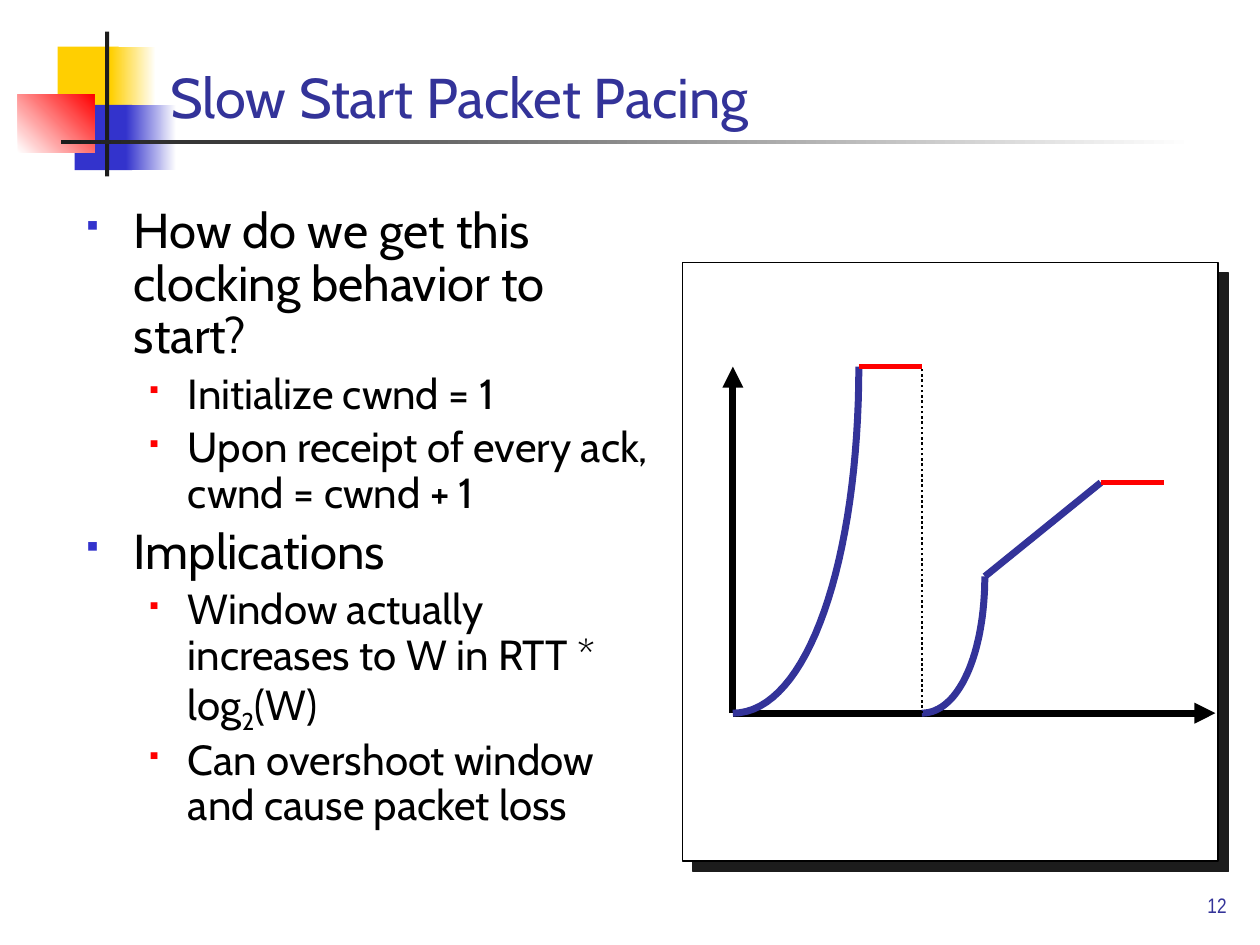
from dataclasses import dataclass

from lxml import etree
from pptx import Presentation
from pptx import util as u
from pptx.dml.color import RGBColor
from pptx.enum import dml, shapes, text
from pptx.oxml import ns

COLUMNS, ROWS = 120, 90
CELL = u.Inches(10) // COLUMNS


@dataclass(frozen=True)
class Theme:
    ink: str = "333399"
    blue: str = "3333CC"
    red: str = "FF0000"
    yellow: str = "FFCF01"
    black: str = "000000"
    white: str = "FFFFFF"
    dark: str = "1C1C1C"
    font: str = "Cabin"
    number_font: str = "Arial Narrow"
    title_size: int = 32
    number_size: int = 12
    level_sizes: tuple = (28, 24)


THEME = Theme()


def cells(*values):
    return [round(value * CELL) for value in values]


def add_xml(parent, tag, **attributes):
    return etree.SubElement(parent, ns.qn(tag), **attributes)


def style_runs(paragraph, size, color, font=THEME.font):
    for run in paragraph.runs:
        run.font.size = u.Pt(size)
        run.font.name = font
        run.font.color.rgb = RGBColor.from_string(color)


def add_block(slide, box, color, end_color=None, angle=0):
    """Rectangle without outline, plain or fading to end_color."""
    shape = slide.shapes.add_shape(shapes.MSO_SHAPE.RECTANGLE, *cells(*box))
    shape.shadow.inherit = False
    shape.line.fill.background()
    if end_color:
        shape.fill.gradient()
        shape.fill.gradient_angle = angle
        for stop, stop_color in zip(shape.fill.gradient_stops, (color, end_color)):
            stop.color.rgb = RGBColor.from_string(stop_color)
    else:
        shape.fill.solid()
        shape.fill.fore_color.rgb = RGBColor.from_string(color)
    return shape


def add_ornament(slide, box):
    """Coloured squares with a crossing bar and the rule below the title."""
    left, top, width, _ = box
    t = THEME
    blocks = [
        ((3.8, 1.45, 5.8, 6.2), t.yellow, None, 0),
        ((8.85, 1.45, 4.3, 6.2), t.yellow, t.white, 0),
        ((5.4, 7, 5.5, 6.2), t.blue, None, 0),
        ((10.3, 7, 4.8, 6.2), t.blue, t.white, 0),
        ((0, 6, 7.3, 5.5), t.white, t.red, 45),
        ((8.3, 0, 0.4, 13.8), t.dark, None, 0),
        ((4.1, 10.35, width - 4.1, 0.4), t.dark, t.white, 0),
    ]
    for (x, y, w, h), color, end_color, angle in blocks:
        add_block(slide, (left + x, top + y, w, h), color, end_color, angle)


def add_title(slide, box, wording):
    title = slide.shapes.title
    title.left, title.top, title.width, title.height = cells(*box)
    frame = title.text_frame
    frame.text = wording
    frame.auto_size = text.MSO_AUTO_SIZE.NONE
    frame.vertical_anchor = text.MSO_ANCHOR.BOTTOM
    frame.paragraphs[0].alignment = text.PP_ALIGN.LEFT
    style_runs(frame.paragraphs[0], THEME.title_size, THEME.ink)
    # Bring the title in front of the ornament
    title.element.getparent().append(title.element)


def add_text_box(slide, box):
    frame = slide.shapes.add_textbox(*cells(*box)).text_frame
    frame.word_wrap = True
    return frame


def add_number(slide, box, wording):
    frame = add_text_box(slide, box)
    frame.vertical_anchor = text.MSO_ANCHOR.BOTTOM
    frame.text = wording
    frame.paragraphs[0].alignment = text.PP_ALIGN.RIGHT
    style_runs(frame.paragraphs[0], THEME.number_size, THEME.ink, THEME.number_font)


def format_bullet(paragraph, level):
    margin, indent, color, share = (
        (0.38, -0.38, THEME.blue, 60), (0.81, -0.31, THEME.red, 55))[level]
    paragraph.level = level
    paragraph.line_spacing = 0.9
    properties = paragraph._p.get_or_add_pPr()
    properties.set("marL", str(u.Inches(margin)))
    properties.set("indent", str(u.Inches(indent)))
    add_xml(add_xml(properties, "a:spcBef"), "a:spcPct", val="20000")
    add_xml(add_xml(properties, "a:buClr"), "a:srgbClr", val=color)
    add_xml(properties, "a:buSzPct", val=str(share * 1000))
    add_xml(properties, "a:buFont", typeface="Wingdings")
    add_xml(properties, "a:buChar", char="§")


def add_bullets(slide, box, items):
    """Each item is a level and its pieces; every second piece is subscript."""
    frame = add_text_box(slide, box)
    for index, (level, *pieces) in enumerate(items):
        paragraph = frame.add_paragraph() if index else frame.paragraphs[0]
        for position, piece in enumerate(pieces):
            run = paragraph.add_run()
            run.text = piece
            if position % 2:
                run.font._element.set("baseline", "-25000")
        style_runs(paragraph, THEME.level_sizes[level], THEME.black)
        format_bullet(paragraph, level)


def style_line(line, color, width):
    line.color.rgb = RGBColor.from_string(color)
    line.width = u.Pt(width)


def add_line(slide, start, end, color, width, arrow=False, dash=None):
    line = slide.shapes.add_connector(shapes.MSO_CONNECTOR.STRAIGHT, *start, *end)
    style_line(line.line, color, width)
    if dash:
        line.line.dash_style = dash
    if arrow:
        add_xml(line.line._get_or_add_ln(), "a:tailEnd", type="triangle")
    add_xml(line._element.spPr, "a:effectLst")


def add_curve(slide, controls, color, width, steps=32):
    """Open cubic curve drawn through evenly spaced parameters."""
    points = []
    for step in range(steps + 1):
        s = step / steps
        weights = ((1 - s) ** 3, 3 * s * (1 - s) ** 2, 3 * s * s * (1 - s), s ** 3)
        points.append(tuple(round(sum(weight * point[axis] for weight, point
                                      in zip(weights, controls))) for axis in (0, 1)))
    builder = slide.shapes.build_freeform(*points[0])
    builder.add_line_segments(points[1:], close=False)
    curve = builder.convert_to_shape()
    curve.shadow.inherit = False
    curve.fill.background()
    style_line(curve.line, color, width)


def add_window_plot(slide, box):
    """Framed sketch of the window size over time."""
    left, top, width, height = box
    frame = add_block(slide, box, THEME.white)
    style_line(frame.line, THEME.black, 0.75)
    effects = frame._element.spPr.find(ns.qn("a:effectLst"))
    shadow = add_xml(effects, "a:outerShdw", blurRad="0", dist=str(u.Pt(8.5)),
                     dir="2700000", algn="ctr", rotWithShape="0")
    add_xml(shadow, "a:srgbClr", val=THEME.dark)

    unit = width / 8.5

    def at(x, y):
        return cells(left + (0.8 + x) * unit, top + height * 0.753 - y * unit)

    peak, loss, restart, flat = 5.5, 3, 2.17, 3.66
    origin = at(0, 0)
    # Axes
    add_line(slide, origin, at(0, peak), THEME.black, 4, arrow=True)
    add_line(slide, origin, at(7.66, 0), THEME.black, 4, arrow=True)
    # Exponential growth, before and after the loss
    for start, span, rise in ((0, 2, peak), (loss, 1, restart)):
        controls = [at(start + span * x, rise * y)
                    for x, y in ((0, 0), (0.6, 0), (1, 0.45), (1, 1))]
        add_curve(slide, controls, THEME.ink, 4)
    # Linear growth
    add_line(slide, at(4, restart), at(5.84, flat), THEME.ink, 4)
    # Loss plateaus and timeout mark
    for start, level in ((2, peak), (5.84, flat)):
        add_line(slide, at(start, level), at(start + 1, level), THEME.red, 3)
    add_line(slide, at(loss, 0), at(loss, peak), THEME.black, 1.5,
             dash=dml.MSO_LINE.ROUND_DOT)


def main():
    presentation = Presentation()
    presentation.slide_width = COLUMNS * CELL
    presentation.slide_height = ROWS * CELL
    slide = presentation.slides.add_slide(presentation.slide_layouts[5])
    add_ornament(slide, (1.7, 3, 112, 14))
    add_number(slide, (93, 82, 25, 6), "12")
    add_title(slide, (15, 5, 100, 8), "Slow Start Packet Pacing")
    add_bullets(slide, (7, 19, 56, 64), [
        (0, "How do we get this clocking behavior to start?"),
        (1, "Initialize cwnd = 1"),
        (1, "Upon receipt of every ack, cwnd = cwnd + 1"),
        (0, "Implications"),
        (1, "Window actually increases to W in RTT * log", "2", "(W)"),
        (1, "Can overshoot window and cause packet loss"),
    ])
    add_window_plot(slide, (65, 25, 51, 57))
    presentation.save("out.pptx")


if __name__ == "__main__":
    main()
